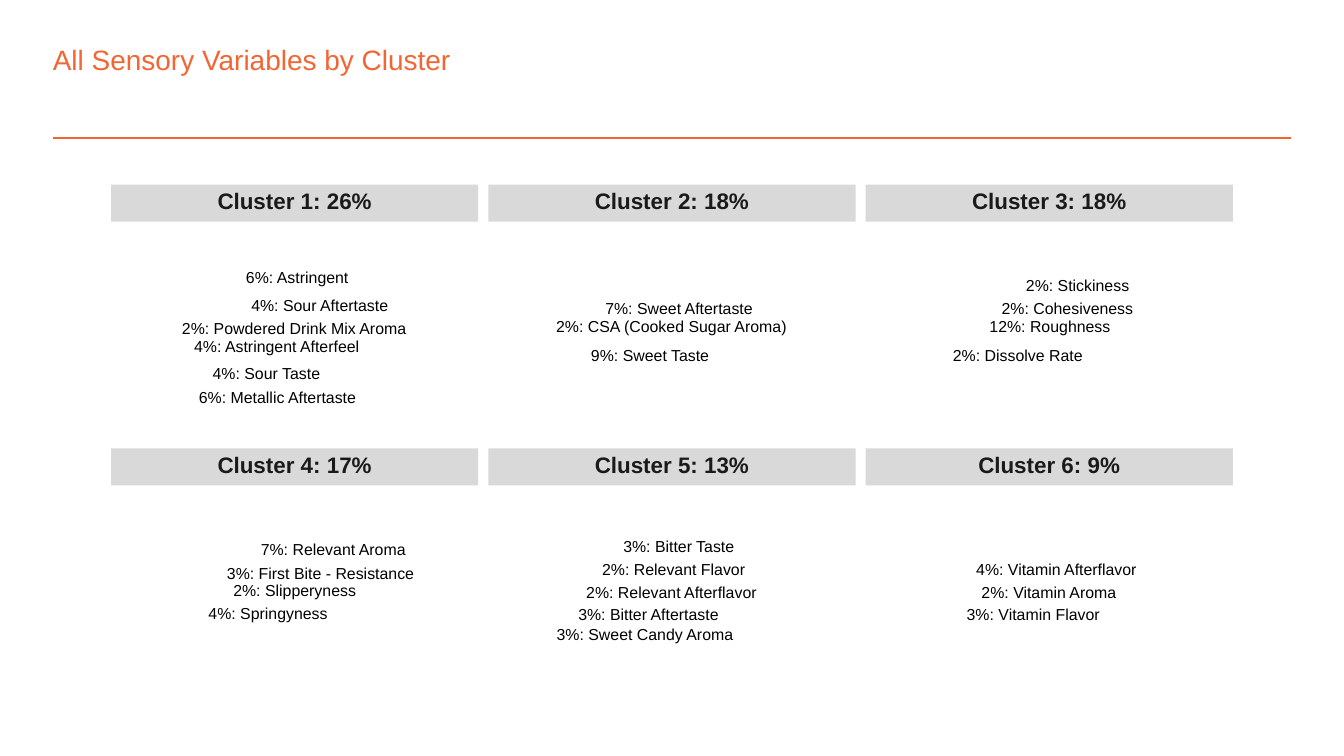
from dataclasses import dataclass

from pptx import Presentation
from pptx.dml.color import RGBColor
from pptx.enum.shapes import MSO_CONNECTOR, MSO_SHAPE
from pptx.enum.text import MSO_ANCHOR, PP_ALIGN
from pptx.util import Cm, Pt
from lxml.etree import SubElement
from pptx.oxml.ns import qn


@dataclass(frozen=True)
class Theme:
    font: str = "Arial"
    accent: RGBColor = RGBColor(0xF3, 0x66, 0x33)
    bar: RGBColor = RGBColor(0xD9, 0xD9, 0xD9)
    heading: RGBColor = RGBColor(0x1A, 0x1A, 0x1A)
    label: RGBColor = RGBColor(0, 0, 0)
    title_size: float = 15
    heading_size: float = 12
    label_size: float = 8.5


THEME = Theme()

# Lengths in centimetres.
PANEL_LEFT, PANEL_TOP = 2.10, 3.49
PANEL_WIDTH, BAR_HEIGHT = 6.94, 0.70
PITCH_X, PITCH_Y = 7.13, 4.98
LABEL_HEIGHT = 0.25
LABEL_SLACK = 0.1  # keeps every label on one line
COLUMNS = 3

# Each label: wording, left and middle within its panel, text width.
CLUSTERS = [
    ("Cluster 1: 26%", [
        ("6%: Astringent", 2.55, 1.78, 1.96),
        ("4%: Sour Aftertaste", 2.65, 2.31, 2.62),
        ("2%: Powdered Drink Mix Aroma", 1.34, 2.73, 4.27),
        ("4%: Astringent Afterfeel", 1.57, 3.07, 3.18),
        ("4%: Sour Taste", 1.92, 3.59, 2.08),
        ("6%: Metallic Aftertaste", 1.66, 4.04, 3.00),
    ]),
    ("Cluster 2: 18%", [
        ("7%: Sweet Aftertaste", 2.21, 2.37, 2.82),
        ("2%: CSA (Cooked Sugar Aroma)", 1.28, 2.71, 4.39),
        ("9%: Sweet Taste", 1.94, 3.24, 2.29),
    ]),
    ("Cluster 3: 18%", [
        ("2%: Stickiness", 3.03, 1.92, 1.96),
        ("2%: Cohesiveness", 2.57, 2.37, 2.49),
        ("12%: Roughness", 2.34, 2.71, 2.29),
        ("2%: Dissolve Rate", 1.65, 3.24, 2.46),
    ]),
    ("Cluster 4: 17%", [
        ("7%: Relevant Aroma", 2.83, 1.93, 2.77),
        ("3%: First Bite - Resistance", 2.19, 2.38, 3.56),
        ("2%: Slipperyness", 2.31, 2.71, 2.34),
        ("4%: Springyness", 1.84, 3.15, 2.26),
    ]),
    ("Cluster 5: 13%", [
        ("3%: Bitter Taste", 2.55, 1.87, 2.13),
        ("2%: Relevant Flavor", 2.15, 2.31, 2.72),
        ("2%: Relevant Afterflavor", 1.85, 2.74, 3.25),
        ("3%: Bitter Aftertaste", 1.70, 3.17, 2.67),
        ("3%: Sweet Candy Aroma", 1.29, 3.53, 3.35),
    ]),
    ("Cluster 6: 9%", [
        ("4%: Vitamin Afterflavor", 2.09, 2.31, 3.07),
        ("2%: Vitamin Aroma", 2.19, 2.74, 2.57),
        ("3%: Vitamin Flavor", 1.91, 3.17, 2.53),
    ]),
]


def write(shape, text, size, color, bold=False, align=PP_ALIGN.LEFT):
    """Put one line of text, vertically centred and without insets, in a shape."""
    frame = shape.text_frame
    frame.margin_left = frame.margin_top = frame.margin_right = frame.margin_bottom = 0
    frame.vertical_anchor = MSO_ANCHOR.MIDDLE
    frame.word_wrap = False
    para = frame.paragraphs[0]
    para.alignment = align
    para.line_spacing = Pt(size)
    span = para.add_run()
    span.text = text
    span.font.name = THEME.font
    span.font.size = Pt(size)
    span.font.bold = bold
    span.font.color.rgb = color


def add_title(page, text, left, top, width, height):
    box = page.shapes.add_textbox(Cm(left), Cm(top), Cm(width), Cm(height))
    write(box, text, THEME.title_size, THEME.accent)
    box.text_frame.word_wrap = True
    box.text_frame.paragraphs[0].line_spacing = 1.0


def add_rule(page, left, top, width):
    rule = page.shapes.add_connector(
        MSO_CONNECTOR.STRAIGHT, Cm(left), Cm(top), Cm(left + width), Cm(top))
    rule.line.color.rgb = THEME.accent
    rule.line.width = Pt(1)
    SubElement(rule._element.spPr, qn("a:effectLst"))


def add_cluster(page, heading, labels, left, top, width):
    """Draw a heading bar with its variable labels scattered below."""
    bar = page.shapes.add_shape(
        MSO_SHAPE.RECTANGLE, Cm(left), Cm(top), Cm(width), Cm(BAR_HEIGHT))
    bar.shadow.inherit = False
    bar.fill.solid()
    bar.fill.fore_color.rgb = THEME.bar
    bar.line.fill.background()
    write(bar, heading, THEME.heading_size, THEME.heading, True, PP_ALIGN.CENTER)
    for text, x, middle, label_width in labels:
        box = page.shapes.add_textbox(
            Cm(left + x), Cm(top + middle - LABEL_HEIGHT / 2),
            Cm(label_width + LABEL_SLACK), Cm(LABEL_HEIGHT))
        write(box, text, THEME.label_size, THEME.label)


def main():
    deck = Presentation()
    deck.slide_width, deck.slide_height = Cm(25.4), Cm(14.28)
    page = deck.slides.add_slide(deck.slide_layouts[6])
    add_rule(page, 1, 2.61, 23.4)
    add_title(page, "All Sensory Variables by Cluster", 1, 0.81, 21.06, 0.64)
    for index, (heading, labels) in enumerate(CLUSTERS):
        row, column = divmod(index, COLUMNS)
        add_cluster(page, heading, labels, PANEL_LEFT + column * PITCH_X,
                    PANEL_TOP + row * PITCH_Y, PANEL_WIDTH)
    deck.save("out.pptx")


if __name__ == "__main__":
    main()
